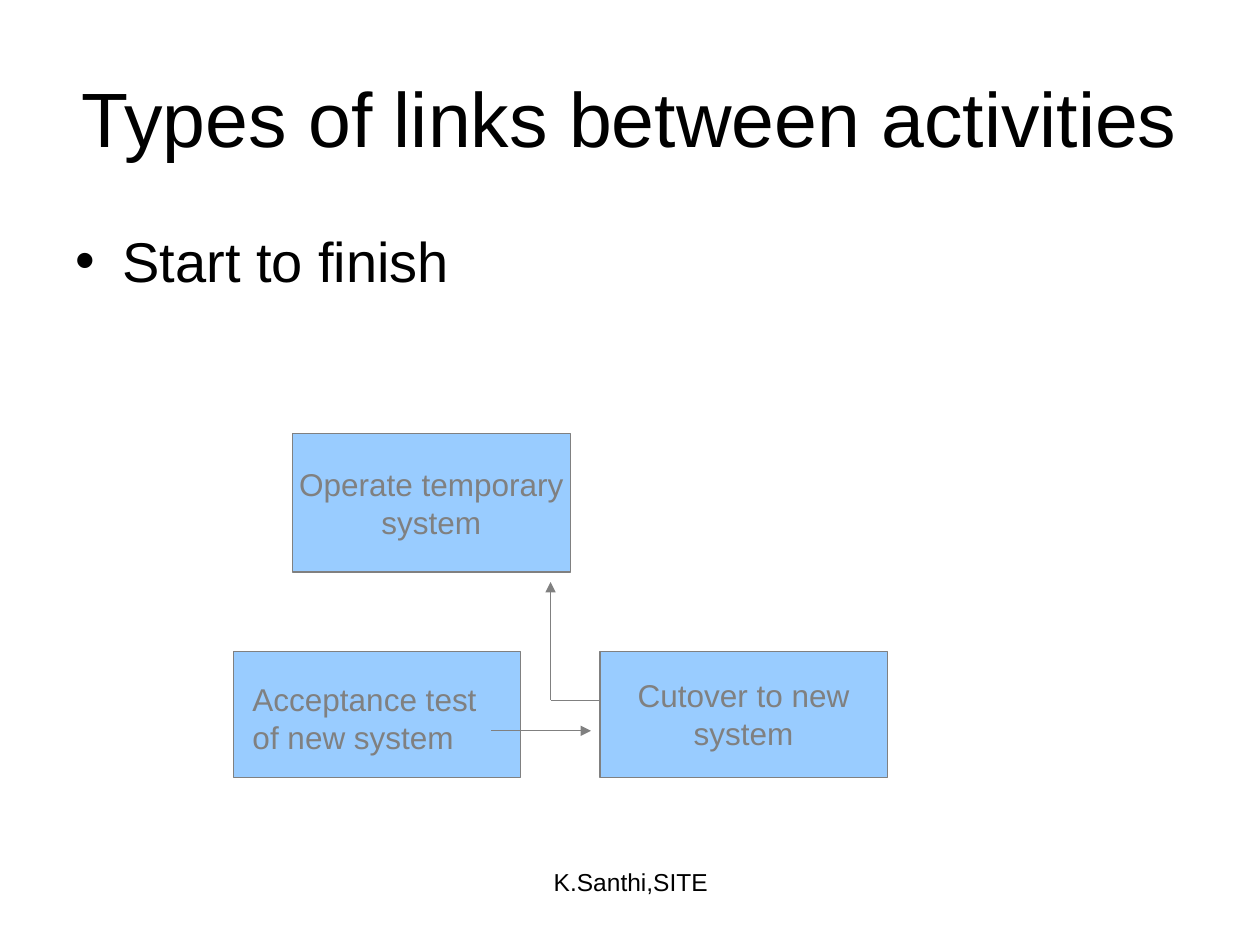
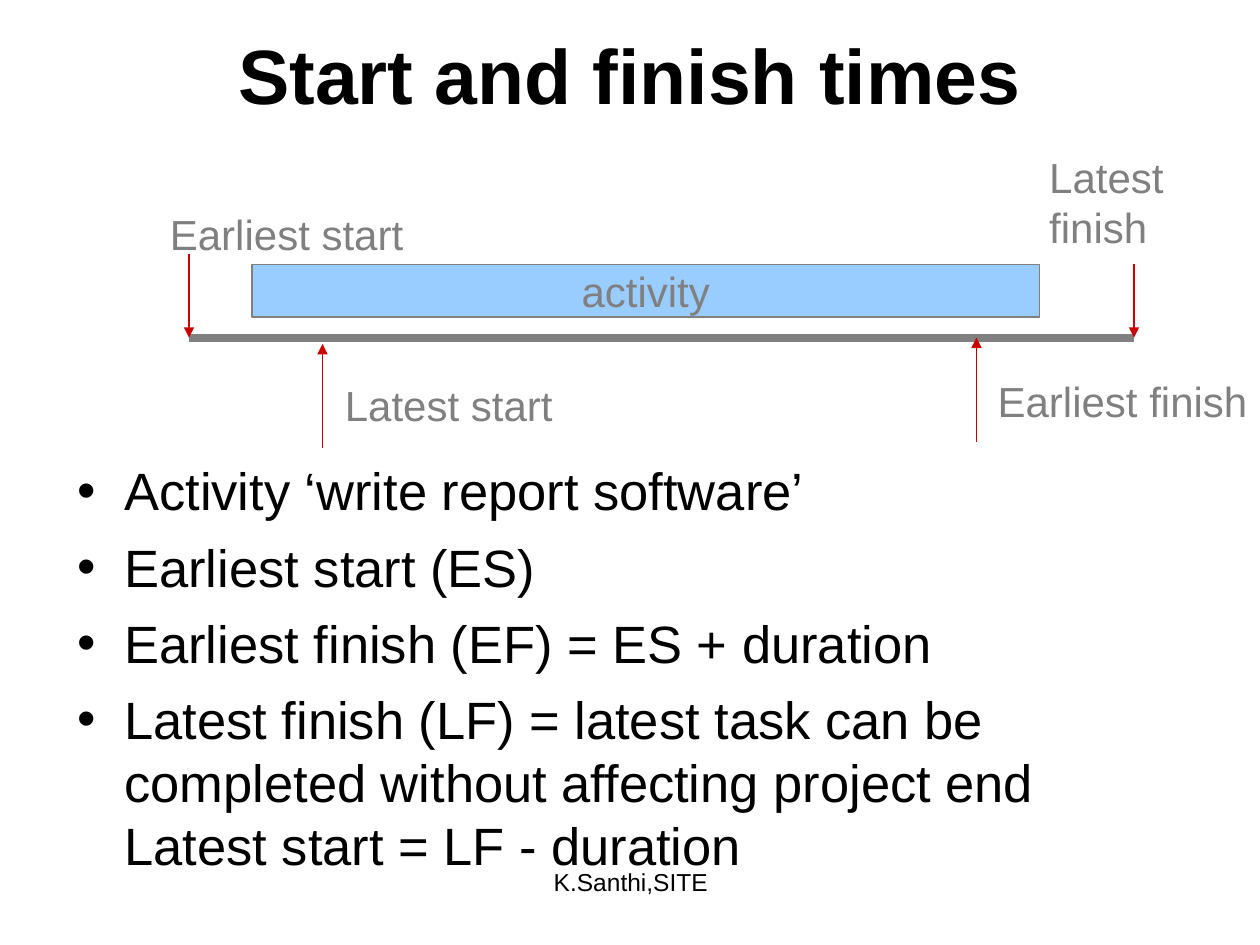
from lxml.etree import SubElement
from pptx import Presentation
from pptx.dml.color import RGBColor
from pptx.enum.shapes import MSO_CONNECTOR as Link, MSO_SHAPE as Shape
from pptx.enum.text import MSO_ANCHOR as Anchor, PP_ALIGN as Align
from pptx.oxml.ns import qn
from pptx.util import Pt

FONT = "Arial"
BLACK, GREY, BLUE, RED = "000000", "808080", "99CCFF", "CC0000"
FOOTER = "K.Santhi,SITE"
FOOT_AT = (246.5, 492, 228, 37)

# Places are left, top, width, height; lines are x1, y1, x2, y2.
LINKS = {
    "title": "Types of links between activities",
    "title_at": (36, 21.6, 648, 90),
    "bold": False,
    "items": ["Start to finish"],
    "items_at": (36, 126, 648, 356),
    "size": 32,
    "boxes": [
        (["Operate temporary", "system"], (167, 247.7, 159, 79.2), 18),
        ([], (133.3, 372.2, 164.2, 72), 18),
        (["Cutover to new", "system"], (342.8, 372.2, 164.2, 72), 18),
    ],
    "labels": [(["Acceptance test", "of new system"],
                (137.2, 385.2, 142.6, 50.4), 18)],
    "lines": [((342.8, 400.3, 314.6, 400.3), GREY, 0.75)],
    "arrows": [
        ((280.8, 417.6, 337.7, 417.6), GREY),
        ((314.6, 400.3, 314.6, 332.6), GREY),
    ],
}
AXIS = 193
TIMES = {
    "title": "Start and finish times",
    "title_at": (54, 15, 612, 54),
    "bold": True,
    "items": [
        "Activity ‘write report software’",
        "Earliest start (ES)",
        "Earliest finish (EF) = ES + duration",
        "Latest finish (LF) = latest task can be completed without "
        "affecting project end Latest start = LF - duration",
    ],
    "items_at": (37, 258.5, 648, 271),
    "size": 30,
    "boxes": [(["activity"], (144, 151, 450, 30.2), 24)],
    "labels": [
        (["Earliest start"], (90, 115.4, 147.6, 36), 24),
        (["Latest start"], (190, 213.4, 133.2, 36), 24),
        (["Latest", "finish"], (592.5, 83, 80, 64.8), 24),
        (["Earliest finish"], (563, 211, 157, 36), 24),
    ],
    "lines": [((108, AXIS, 648, AXIS), GREY, 4.5)],
    "arrows": [
        ((108, 145, 108, AXIS), RED),
        ((184.3, 256.3, 184.3, 196.5), RED),
        ((648, 151, 648, AXIS), RED),
        ((558, 252.7, 558, AXIS), RED),
    ],
}


def rgb(code):
    return RGBColor.from_string(code)


def pts(nums):
    return [Pt(num) for num in nums]


def style(para, size, color, align=Align.LEFT, bold=False):
    para.alignment = align
    font = para.font
    font.name, font.size, font.bold = FONT, Pt(size), bold
    font.color.rgb = rgb(color)


def write(frame, rows, size, color, align=Align.LEFT, wrap=False):
    frame.word_wrap = wrap
    for num, row in enumerate(rows):
        para = frame.paragraphs[0] if num == 0 else frame.add_paragraph()
        para.text = row
        style(para, size, color, align)


def add_title(slide, text, place, bold):
    title = slide.shapes.title
    title.left, title.top, title.width, title.height = pts(place)
    frame = title.text_frame
    frame.text = text
    frame.vertical_anchor = Anchor.MIDDLE
    style(frame.paragraphs[0], 44, BLACK, Align.CENTER, bold)


def add_list(slide, items, place, size):
    frame = slide.shapes.add_textbox(*pts(place)).text_frame
    frame.word_wrap = True
    for num, item in enumerate(items):
        para = frame.paragraphs[0] if num == 0 else frame.add_paragraph()
        para.text = item
        para.space_before = Pt(size / 4 if num else 0)
        props = para._p.get_or_add_pPr()
        props.set("marL", str(Pt(27)))
        props.set("indent", str(Pt(-27)))
        SubElement(props, qn("a:buFont"), typeface=FONT)
        SubElement(props, qn("a:buChar"), char="•")
        style(para, size, BLACK)


def add_box(slide, rows, place, size):
    box = slide.shapes.add_shape(Shape.RECTANGLE, *pts(place))
    box.shadow.inherit = False
    box.fill.solid()
    box.fill.fore_color.rgb = rgb(BLUE)
    box.line.color.rgb = rgb(GREY)
    box.line.width = Pt(0.75)
    box.text_frame.vertical_anchor = Anchor.MIDDLE
    write(box.text_frame, rows, size, GREY, Align.CENTER)


def add_text(slide, rows, place, size):
    frame = slide.shapes.add_textbox(*pts(place)).text_frame
    write(frame, rows, size, GREY)


def add_line(slide, ends, color, width=0.75, head=False):
    link = slide.shapes.add_connector(Link.STRAIGHT, *pts(ends))
    link.line.color.rgb = rgb(color)
    link.line.width = Pt(width)
    if head:
        SubElement(link.line._get_or_add_ln(), qn("a:tailEnd"),
                   type="triangle")
    SubElement(link._element.spPr, qn("a:effectLst"))


def add_foot(slide):
    frame = slide.shapes.add_textbox(*pts(FOOT_AT)).text_frame
    write(frame, [FOOTER], 14, BLACK, Align.CENTER, wrap=True)


def build(deck, page):
    slide = deck.slides.add_slide(deck.slide_layouts[5])
    add_title(slide, page["title"], page["title_at"], page["bold"])
    add_list(slide, page["items"], page["items_at"], page["size"])
    for box in page["boxes"]:
        add_box(slide, *box)
    for label in page["labels"]:
        add_text(slide, *label)
    for line in page["lines"]:
        add_line(slide, *line)
    for arrow in page["arrows"]:
        add_line(slide, *arrow, head=True)
    add_foot(slide)


def main():
    deck = Presentation()
    deck.slide_width, deck.slide_height = Pt(720), Pt(540)
    for page in (LINKS, TIMES):
        build(deck, page)
    deck.save("out.pptx")


if __name__ == "__main__":
    main()
